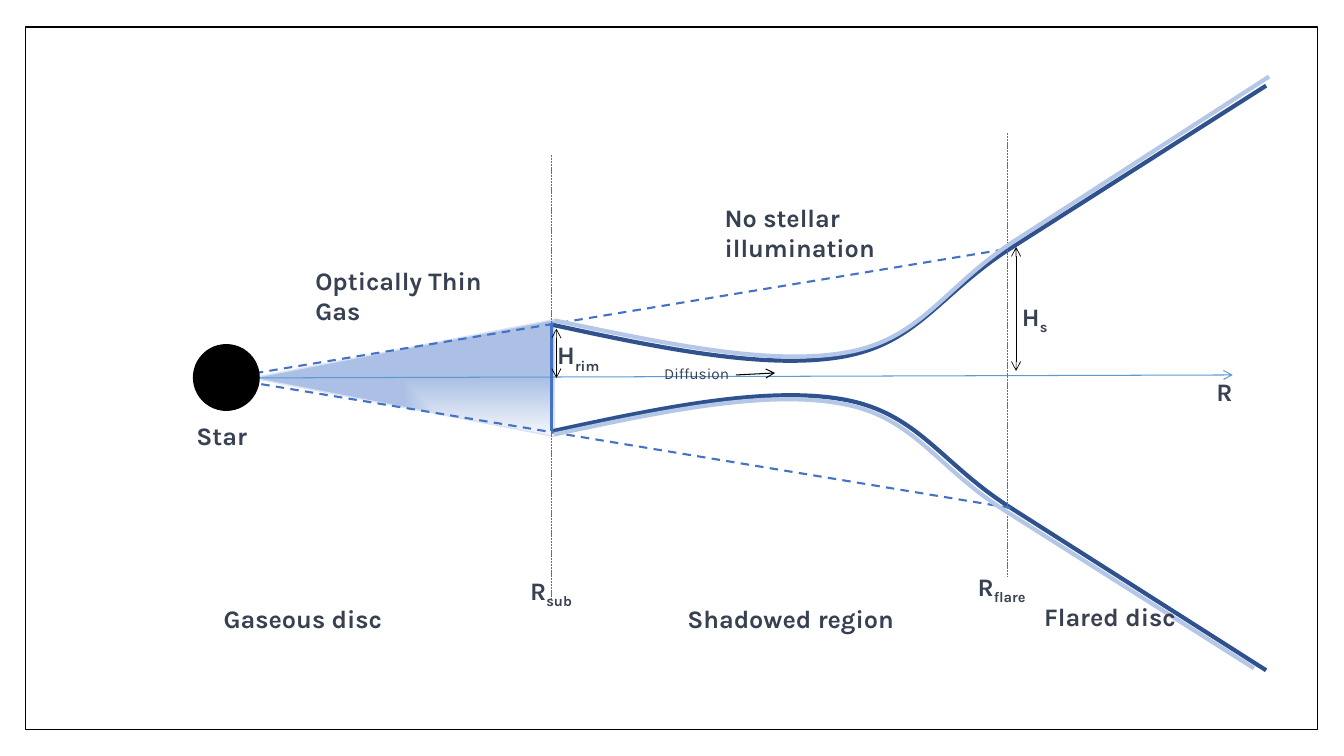
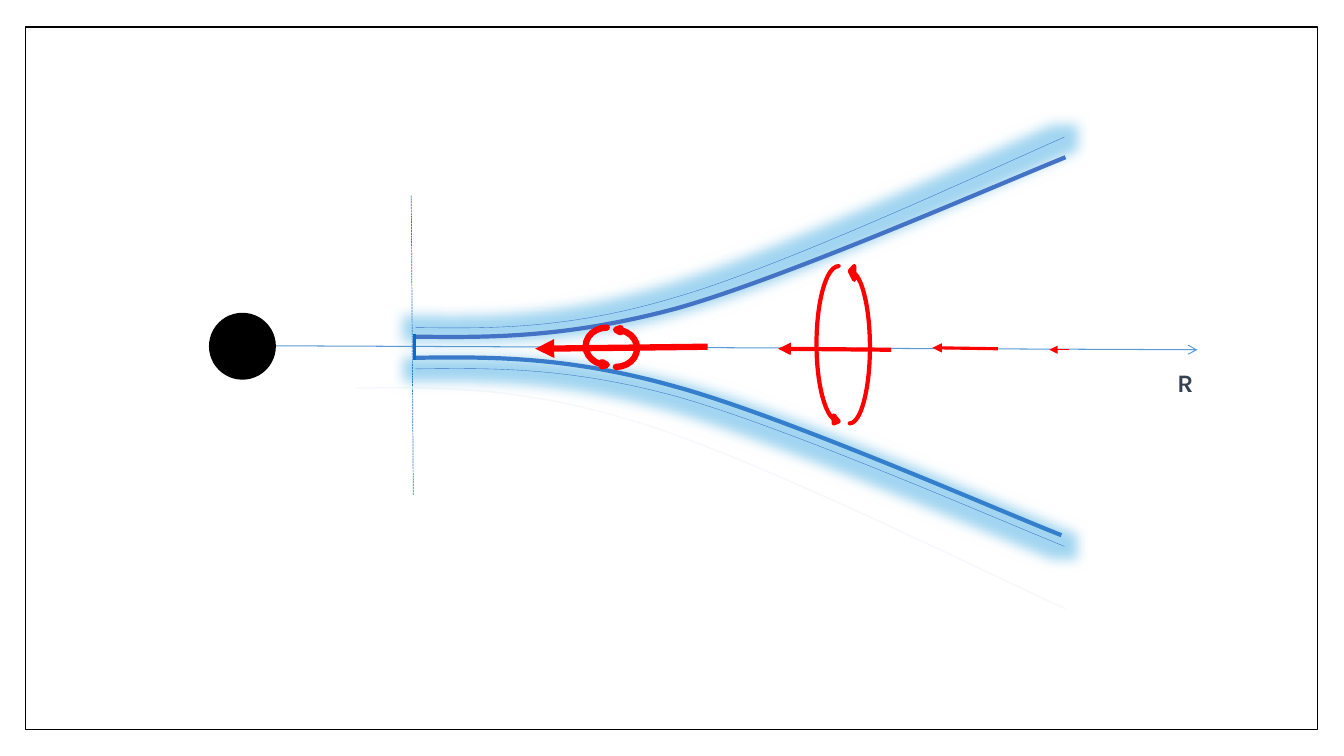
from lxml import etree
from pptx import Presentation
from pptx.dml.color import RGBColor
from pptx.enum.dml import MSO_LINE
from pptx.enum.shapes import MSO_CONNECTOR, MSO_SHAPE
from pptx.oxml.ns import qn
from pptx.util import Cm, Pt

FONT = "Karla"
INK, BLACK, WHITE, RED = "374151", "000000", "FFFFFF", "FF0000"
BLUE, NAVY, PALE, AXIS = "4472C4", "2F528F", "B4C7E7", "5B9BD5"
GLOW, RIM = "1897DC", "0070C0"
FRAME = (0.25, 0.27, 12.82, 6.97)
STAR_SIZE = 0.65
DASH, DOT = MSO_LINE.DASH, MSO_LINE.SQUARE_DOT

GAS = [(5.5, 4.33), (2.5, 3.75), (5.5, 3.17)]
MIDPLANE = 3.75
DISC_TOP = [(12.56, 0.85), (10.03, 2.46), (9.32, 2.91), (9.11, 3.41),
            (8.35, 3.54), (7.59, 3.67), (6.53, 3.45), (5.47, 3.22)]
DISC_BOTTOM = [(x, 2 * MIDPLANE - y) for x, y in DISC_TOP]
HALOS = [
    [(12.44, 6.63), (9.96, 5.06), (9.27, 4.62), (9.06, 4.12),
     (8.32, 4), (7.57, 3.87), (6.53, 4.09), (5.5, 4.31)],
    [(12.59, 0.76), (10.05, 2.4), (9.35, 2.86), (9.14, 3.37),
     (8.38, 3.5), (7.62, 3.63), (6.56, 3.4), (5.5, 3.18)],
]
DISC_LINES = [
    ((2.24, 3.75, 12.23, 3.72), AXIS, 0.75, dict(tail="arrow")),
    ((2.24, 3.75, 9.99, 2.47), BLUE, 1.5, dict(dash=DASH)),
    ((2.16, 3.74, 10.03, 5.04), BLUE, 1.5, dict(dash=DASH)),
    ((5.47, 3.22, 5.47, 4.28), BLUE, 2.25, {}),
    ((5.47, 1.54, 5.47, 5.94), BLUE, 0.5, dict(dash=DOT)),
    ((9.99, 1.32, 9.99, 5.72), BLUE, 0.5, dict(dash=DOT)),
]
MEASURES = [
    ((5.52, 3.26, 5.52, 3.75), BLACK, 0.5, dict(head="arrow", tail="arrow")),
    ((7.3, 3.72, 7.69, 3.7), BLACK, 0.75, dict(tail="arrow")),
    ((10.08, 2.45, 10.08, 3.68), BLACK, 0.5, dict(head="arrow", tail="arrow")),
]
LABELS = [
    ("R", (5.16, 5.66, 0.65, 0.4), dict(sub="sub", wrap=False)),
    ("R", (9.6, 5.62, 0.85, 0.4), dict(sub="flare")),
    ("H", (5.43, 3.32, 0.83, 0.4), dict(sub="rim")),
    ("H", (10.04, 2.94, 0.51, 0.4), dict(sub="s", after=0)),
    ("Diffusion", (6.49, 3.56, 1.2, 0.29), dict(size=11, bold=False)),
    ("No stellar illumination", (7.09, 1.96, 2.23, 0.71), {}),
    ("Star", (1.85, 4.12, 0.72, 0.4), {}),
    ("Flared disc", (10.26, 5.92, 2.23, 0.4), {}),
    ("R", (11.97, 3.68, 0.83, 0.4), {}),
    ("Optically Thin Gas", (3.03, 2.58, 2.23, 0.71), {}),
    ("Shadowed region", (6.72, 5.94, 2.32, 0.4), {}),
    ("Gaseous disc", (2.12, 5.94, 2.23, 0.4), {}),
]

FLOW_AXIS = ((2.57, 3.43, 11.88, 3.47), AXIS, 0.75, dict(tail="arrow"))
INNER_EDGE = ((4.08, 1.94, 4.1, 4.91), BLUE, 0.5, dict(dash=DOT))
FLOW_CURVES = [
    ([(4.12, 3.25), (4.87, 3.26), (5.63, 3.27), (6.7, 2.95),
      (7.78, 2.64), (9.83, 1.68), (10.56, 1.36)], BLUE, 0.25, True),
    ([(3.53, 3.85), (4.36, 3.84), (5.18, 3.83), (6.36, 4.2),
      (7.53, 4.56), (9.76, 5.67), (10.57, 6.04)], "F6F8FC", 1, False),
    ([(4.12, 3.34), (4.87, 3.35), (5.63, 3.35), (6.71, 3.06),
      (7.78, 2.76), (9.83, 1.86), (10.57, 1.56)], BLUE, 3, False),
    ([(4.1, 3.55), (4.85, 3.54), (5.61, 3.53), (6.68, 3.83),
      (7.75, 4.12), (9.8, 5.02), (10.53, 5.31)], BLUE, 3, False),
    ([(4.12, 3.66), (4.88, 3.65), (5.63, 3.64), (6.7, 3.93),
      (7.78, 4.23), (9.82, 5.12), (10.56, 5.42)], BLUE, 0.25, True),
]
INFLOW = [
    ((10.61, 3.47, 10.41, 3.47), 0.79),
    ((9.9, 3.46, 9.25, 3.45), 2.25),
    ((8.84, 3.47, 7.72, 3.46), 3),
    ((7.02, 3.44, 5.31, 3.46), 4.5),
]
EDDIES = [
    ((5.81, 3.25, 0.21, 0.39), 0, 0.204, 4.5),
    ((6.11, 3.25, 0.21, 0.39), 180, 0.204, 4.5),
    ((8.1, 2.64, 0.22, 1.58), 0, 0.364, 3),
    ((8.43, 2.62, 0.2, 1.58), 180, 0.687, 3),
]


def rgb(value):
    return RGBColor.from_string(value)


def emu(*inches):
    return [Cm(v * 2.54) for v in inches]


def node(parent, tag, **attrs):
    return etree.SubElement(parent, qn(tag), {k: str(v) for k, v in attrs.items()})


def stroke(sp, color, width, dash=None):
    sp.line.color.rgb = rgb(color)
    sp.line.width = Pt(width)
    if dash:
        sp.line.dash_style = dash


def shape(s, kind, box, fill, color, width):
    sp = s.shapes.add_shape(kind, *emu(*box))
    sp.shadow.inherit = False
    sp.fill.solid()
    sp.fill.fore_color.rgb = rgb(fill)
    stroke(sp, color, width)
    return sp


def line(s, ends, color, width, dash=None, head=None, tail=None):
    c = s.shapes.add_connector(MSO_CONNECTOR.STRAIGHT, *emu(*ends))
    stroke(c, color, width, dash)
    ln = c.line._get_or_add_ln()
    for tag, kind in (("a:headEnd", head), ("a:tailEnd", tail)):
        if kind:
            node(ln, tag, type=kind)
    node(c._element.spPr, "a:effectLst")


def outline(s, points, color, width, close=False):
    start, *rest = [emu(*pt) for pt in points]
    fb = s.shapes.build_freeform(*start)
    fb.add_line_segments(rest, close=close)
    sp = fb.convert_to_shape()
    sp.shadow.inherit = False
    stroke(sp, color, width)
    return sp


def curve(s, points, color, width, glow=False):
    sp = outline(s, points, color, width)
    sp.fill.background()
    segments = list(sp._element.iter(qn("a:lnTo")))
    straight = len(segments) % 3
    for i in range(straight, len(segments), 3):
        bezier = etree.Element(qn("a:cubicBezTo"))
        segments[i].addprevious(bezier)
        for seg in segments[i:i + 3]:
            bezier.append(seg[0])
            seg.getparent().remove(seg)
    if glow:
        effects = sp._element.spPr.find(qn("a:effectLst"))
        halo = node(effects, "a:glow", rad=Pt(18))
        node(node(halo, "a:srgbClr", val=GLOW), "a:alpha", val=40000)


def gas_wedge(s):
    sp = outline(s, GAS, "DAE3F3", 1, close=True)
    sp.fill.gradient()
    for stop, color in zip(sp.fill.gradient_stops, ("F6F8FC", "ABC0E4")):
        stop.color.rgb = rgb(color)
    grad = sp._element.spPr.find(qn("a:gradFill"))
    grad.remove(grad.find(qn("a:lin")))
    node(node(grad, "a:path", path="rect"), "a:fillToRect", l=100000, t=100000)


def label(s, text, box, sub=None, size=18, bold=True, wrap=True, after=8):
    tf = s.shapes.add_textbox(*emu(*box)).text_frame
    tf.word_wrap = wrap
    p = tf.paragraphs[0]
    p.space_after = Pt(after)
    for part, base in ((text, None), (sub, "-25000")):
        if part:
            r = p.add_run()
            r.text = part
            r.font.name, r.font.size, r.font.bold = FONT, Pt(size), bold
            r.font.color.rgb = rgb(INK)
            if base:
                r.font._element.set("baseline", base)


def star(s, left, top):
    shape(s, MSO_SHAPE.OVAL, (left, top, STAR_SIZE, STAR_SIZE), BLACK, BLACK, 1)


def new_slide(prs):
    s = prs.slides.add_slide(prs.slide_layouts[6])
    shape(s, MSO_SHAPE.RECTANGLE, FRAME, WHITE, BLACK, 1)
    return s


def disc_slide(prs):
    s = new_slide(prs)
    gas_wedge(s)
    for points in (DISC_BOTTOM, DISC_TOP):
        curve(s, points, NAVY, 3)
    for ends, color, width, look in DISC_LINES:
        line(s, ends, color, width, **look)
    star(s, 1.92, 3.42)
    for points in HALOS:
        curve(s, points, PALE, 3)
    for ends, color, width, look in MEASURES:
        line(s, ends, color, width, **look)
    for text, box, look in LABELS:
        label(s, text, box, **look)


def flow_slide(prs):
    s = new_slide(prs)
    for ends, color, width, look in (FLOW_AXIS, INNER_EDGE):
        line(s, ends, color, width, **look)
    star(s, 2.08, 3.11)
    for points, color, width, glow in FLOW_CURVES:
        curve(s, points, color, width, glow)
    label(s, "R", (11.58, 3.59, 0.83, 0.4))
    line(s, (4.11, 3.31, 4.11, 3.57), RIM, 2.25)
    for ends, width in INFLOW:
        line(s, ends, RED, width, tail="triangle")
    for box, turn, bend, width in EDDIES:
        sp = shape(s, MSO_SHAPE.CURVED_RIGHT_ARROW, box, RED, RED, width)
        sp.rotation = turn
        for i, value in enumerate((0, bend, 0.221)):
            sp.adjustments[i] = value


def main():
    prs = Presentation()
    prs.slide_width, prs.slide_height = emu(13.333, 7.5)
    disc_slide(prs)
    flow_slide(prs)
    prs.save("out.pptx")


if __name__ == "__main__":
    main()
